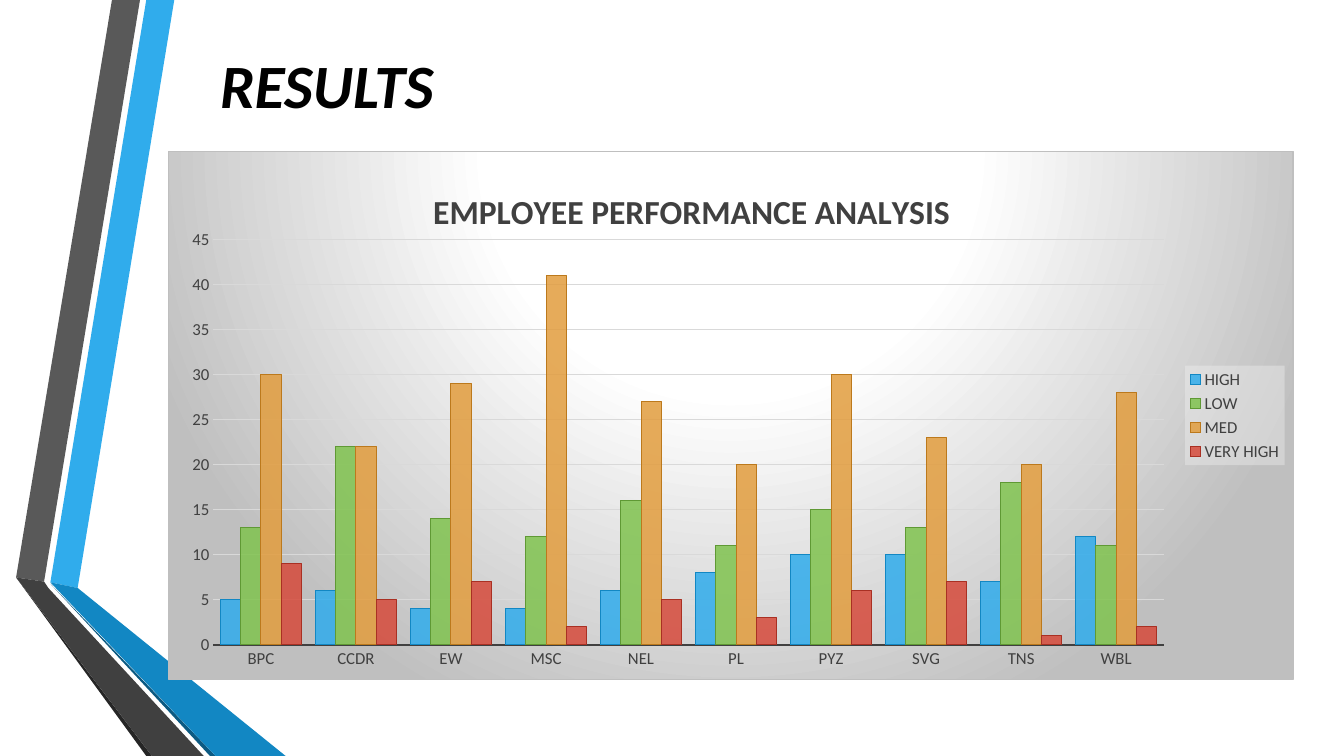
"""Build the results slide: a ribbon, a title and a clustered column chart."""
from lxml import etree
from pptx import Presentation
from pptx.chart.data import CategoryChartData
from pptx.dml.color import RGBColor
from pptx.enum.chart import XL_CHART_TYPE, XL_LEGEND_POSITION, XL_TICK_MARK
from pptx.enum.text import MSO_ANCHOR, PP_ALIGN
from pptx.oxml import parse_xml
from pptx.oxml.ns import nsdecls, qn
from pptx.util import Pt

CLUSTERED = XL_CHART_TYPE.COLUMN_CLUSTERED
LEGEND_RIGHT = XL_LEGEND_POSITION.RIGHT
NO_TICK = XL_TICK_MARK.NONE
MIDDLE = MSO_ANCHOR.MIDDLE
LEFT = PP_ALIGN.LEFT
FONT = "Calibri"
TEXT_GRAY = "404040"

RIBBON = [
    ("30ACEC", [(36, 416), (55.5, 420), (124.5, 0), (104.5, 0)]),
    ("595959", [(100, 0), (80, 0), (11.5, 412.5), (31.5, 415.5)]),
    ("262626", [(11.5, 412.5), (104.5, 540), (108.5, 540)]),
    ("0C5A82", [(36, 417), (150, 540), (154, 540)]),
    ("1287C3", [(36, 416), (154, 540), (204, 540), (55.5, 420)]),
    (TEXT_GRAY, [(11.5, 412.5), (108.5, 540), (145.5, 540), (34.5, 420), (31.5, 415.5)]),
]
TEAMS = ["BPC", "CCDR", "EW", "MSC", "NEL", "PL", "PYZ", "SVG", "TNS", "WBL"]
RATINGS = [
    ("HIGH", [5, 6, 4, 4, 6, 8, 10, 10, 7, 12], "30ACEC", "1287C3"),
    ("LOW", [13, 22, 14, 12, 16, 11, 15, 13, 18, 11], "80C34F", "5F9934"),
    ("MED", [30, 22, 29, 41, 27, 20, 30, 23, 20, 28], "E29D3E", "BC791C"),
    ("VERY HIGH", [9, 5, 7, 2, 5, 3, 6, 7, 1, 2], "D64A3B", "A93023"),
]


def color(value):
    return RGBColor.from_string(value)


def set_layout(element, index, **settings):
    for old_layout in element.findall(qn("c:layout")):
        element.remove(old_layout)
    entries = "".join(f'<c:{name} val="{value}"/>' for name, value in settings.items())
    element.insert(index, parse_xml(
        f'<c:layout {nsdecls("c")}><c:manualLayout>{entries}</c:manualLayout></c:layout>'))


presentation = Presentation()
presentation.slide_width = Pt(960)
presentation.slide_height = Pt(540)
slide = presentation.slides.add_slide(presentation.slide_layouts[5])

for fill_color, points in RIBBON:
    builder = slide.shapes.build_freeform(Pt(points[0][0]), Pt(points[0][1]))
    builder.add_line_segments([(Pt(x), Pt(y)) for x, y in points[1:]], close=True)
    band = builder.convert_to_shape()
    band.shadow.inherit = False
    band.fill.solid()
    band.fill.fore_color.rgb = color(fill_color)
    band.line.fill.background()

title = slide.shapes.title
title.left, title.top, title.width, title.height = Pt(150), Pt(30), Pt(354), Pt(60.5)
title.text_frame.vertical_anchor = MIDDLE
paragraph = title.text_frame.paragraphs[0]
paragraph.alignment = LEFT
run = paragraph.add_run()
run.text = "RESULTS"
run.font.name = FONT
run.font.size = Pt(44)
run.font.bold = True
run.font.italic = True
run.font.color.rgb = color("000000")

chart_data = CategoryChartData()
chart_data.categories = TEAMS
for name, values, fill_color, line_color in RATINGS:
    chart_data.add_series(name, values)
chart = slide.shapes.add_chart(
    CLUSTERED, Pt(120), Pt(108), Pt(804), Pt(377.5), chart_data).chart
chart.font.name = FONT
chart.font.size = Pt(12)
chart.font.color.rgb = color(TEXT_GRAY)

chart.has_title = True
paragraph = chart.chart_title.text_frame.paragraphs[0]
run = paragraph.add_run()
run.text = "EMPLOYEE PERFORMANCE ANALYSIS"
run.font.name = FONT
run.font.size = Pt(24)
run.font.bold = True
run.font.color.rgb = color(TEXT_GRAY)
set_layout(chart.chart_title.element, 1, xMode="edge", yMode="edge", x=0.23, y=0.06)

plot_area = chart.element.find(".//" + qn("c:plotArea"))
set_layout(plot_area, 0, layoutTarget="inner", xMode="edge", yMode="edge",
           x=0.04, y=0.166, w=0.845, h=0.769)

plot = chart.plots[0]
plot.gap_width = 65
plot.overlap = 0
plot.vary_by_categories = False
for series, (name, values, fill_color, line_color) in zip(plot.series, RATINGS):
    series.format.fill.solid()
    series.format.fill.fore_color.rgb = color(fill_color)
    series.format.line.color.rgb = color(line_color)
    series.format.line.width = Pt(0.75)
    bar_color = series.format.fill.fore_color
    solid_fill = series.element if hasattr(series, "element") else series._element
    solid_color = solid_fill.find(qn("c:spPr")).find(qn("a:solidFill"))[0]
    etree.SubElement(solid_color, qn("a:alpha"), val="85000")

for axis in (chart.category_axis, chart.value_axis):
    axis.major_tick_mark = NO_TICK
    axis.minor_tick_mark = NO_TICK
    axis.tick_labels.font.name = FONT
    axis.tick_labels.font.size = Pt(12)
    axis.tick_labels.font.color.rgb = color(TEXT_GRAY)
chart.category_axis.format.line.color.rgb = color(TEXT_GRAY)
chart.category_axis.format.line.width = Pt(1.5)
chart.value_axis.format.line.fill.background()
chart.value_axis.maximum_scale = 45
chart.value_axis.minimum_scale = 0
chart.value_axis.major_unit = 5
gridlines = chart.value_axis.major_gridlines.format.line
gridlines.color.rgb = color("D9D9D9")
gridlines.width = Pt(0.75)

chart.has_legend = True
chart.legend.position = LEGEND_RIGHT
chart.legend.include_in_layout = False
chart.legend.font.name = FONT
chart.legend.font.size = Pt(12)
chart.legend.font.color.rgb = color(TEXT_GRAY)
legend_fill = parse_xml(
    f'<c:spPr {nsdecls("c", "a")}><a:solidFill><a:srgbClr val="F2F2F2">'
    '<a:alpha val="39000"/></a:srgbClr></a:solidFill></c:spPr>')
chart.legend.font
chart.element.find(".//" + qn("c:legend")).find(qn("c:txPr")).addprevious(legend_fill)

stops = "".join(
    f'<a:gs pos="{position}"><a:srgbClr val="{value}"/></a:gs>'
    for position, value in [(0, "FFFFFF"), (39000, "FFFFFF"), (100000, "BFBFBF")])
background = parse_xml(
    f'<c:spPr {nsdecls("c", "a")}><a:gradFill><a:gsLst>{stops}</a:gsLst>'
    '<a:path path="circle"><a:fillToRect l="50000" t="-80000" r="50000" b="180000"/></a:path>'
    '</a:gradFill><a:ln w="9525"><a:solidFill><a:srgbClr val="BFBFBF"/></a:solidFill></a:ln>'
    '</c:spPr>')
chart.element.find(qn("c:chart")).addnext(background)

presentation.save("out.pptx")
